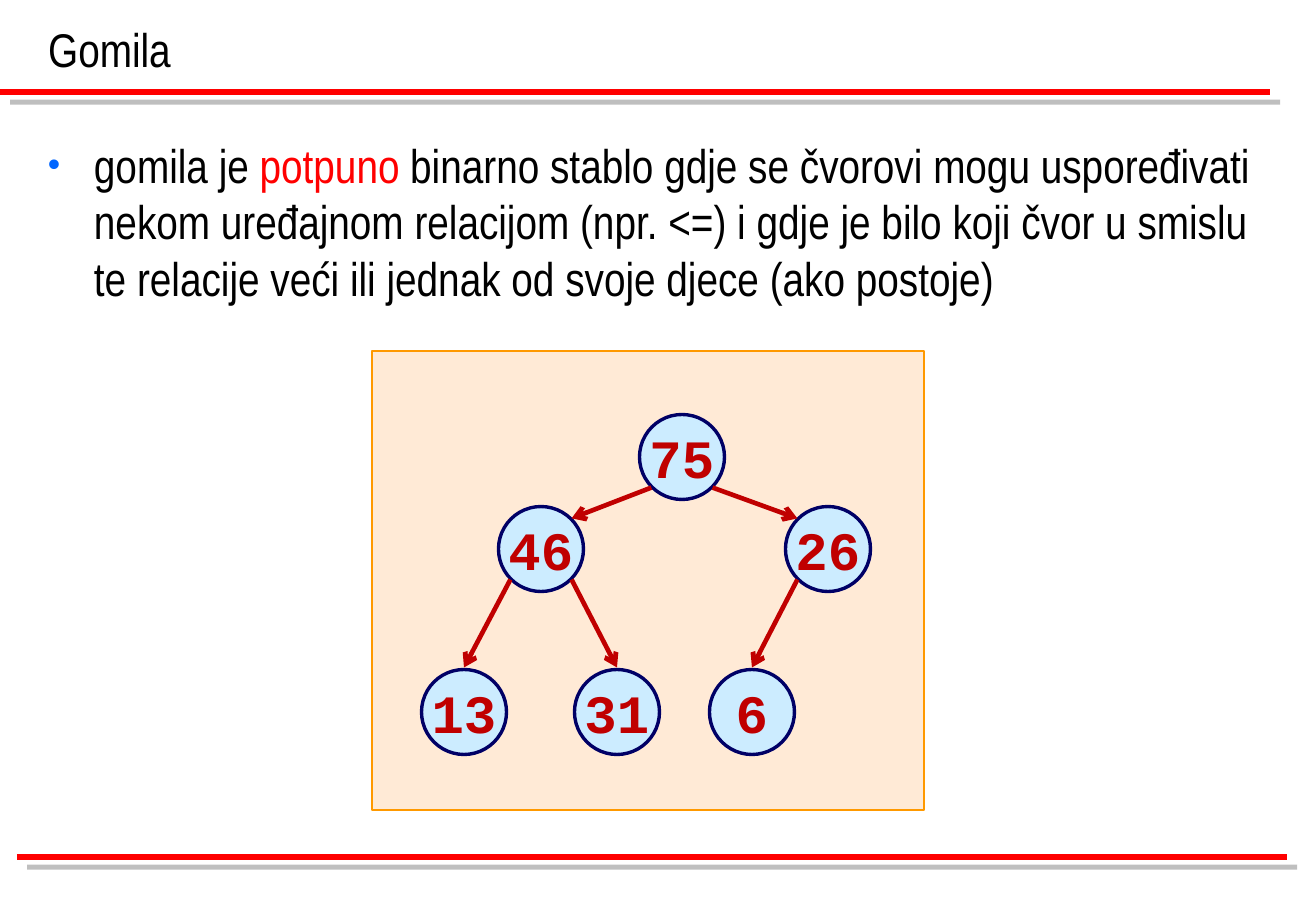
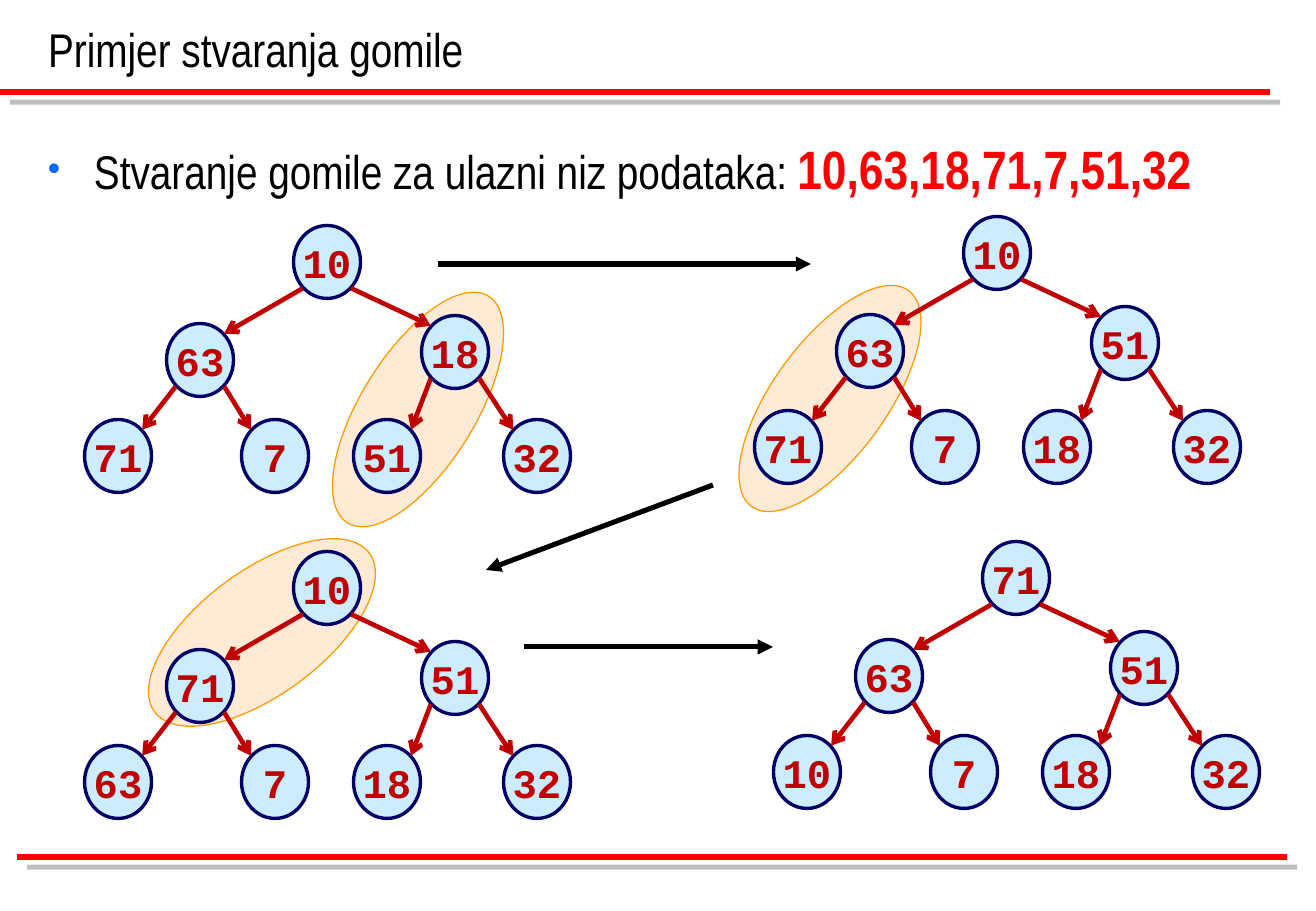
from lxml.etree import SubElement
from pptx import Presentation
from pptx.dml.color import RGBColor
from pptx.enum.shapes import MSO_CONNECTOR, MSO_SHAPE
from pptx.enum.text import MSO_ANCHOR, MSO_AUTO_SIZE, PP_ALIGN
from pptx.oxml.ns import qn
from pptx.util import Pt

SCALE = 7526  # EMU per pixel
WIDE, HIGH = 1316, 911

BLACK = RGBColor(0, 0, 0)
RED = RGBColor(0xFF, 0, 0)
DARK = RGBColor(0xC0, 0, 0)
NAVY = RGBColor(0, 0, 0x66)
SKY = RGBColor(0xCC, 0xEC, 0xFF)
PEACH = RGBColor(0xFF, 0xCC, 0x99)
ORANGE = RGBColor(0xFF, 0x99, 0)
SANS, MONO = "Arial Narrow", "Courier New"

# Node centres relative to the root, in heap order
SMALL = [(0, 0), (-141, 92), (146, 92), (-218, 255), (-65, 255), (70, 255)]
LARGE = [(0, 0), (-127, 98), (128, 90),
         (-209, 194), (-52, 194), (60, 194), (210, 194)]


def px(*sizes):
    """Turn pixels into EMU."""
    return [round(size * SCALE) for size in sizes]


def add(parent, tag, **attrs):
    """Append a DrawingML child element."""
    return SubElement(parent, qn(tag), attrs)


def style(para, name, size, color, bold=False):
    """Set the font of a whole paragraph."""
    font = para.font
    font.name, font.size, font.bold = name, Pt(size), bold
    font.color.rgb = color


def line(shapes, start, end, color, width, head=None):
    """Draw a straight line and return it with its empty effect list."""
    link = shapes.add_connector(MSO_CONNECTOR.STRAIGHT, *px(*start, *end))
    link.line.color.rgb = color
    link.line.width = Pt(width)
    props = link.element.spPr
    if head:
        add(props.find(qn("a:ln")), "a:tailEnd", type=head)
    return link, add(props, "a:effectLst")


def shape(shapes, kind, box, fill, edge, width):
    """Draw a filled preset shape."""
    item = shapes.add_shape(kind, *px(*box))
    item.shadow.inherit = False
    item.fill.solid()
    item.fill.fore_color.rgb = fill
    item.line.color.rgb = edge
    item.line.width = Pt(width)
    return item


def tint(slide, kind, box, turn=0):
    """Draw a see-through peach area."""
    item = shape(slide.shapes, kind, box, PEACH, ORANGE, 0.75)
    item.rotation = turn
    color = item.element.spPr.find(qn("a:solidFill"))[0]
    add(color, "a:alpha", val="40000")


def node(shapes, center, size, key, points):
    """Draw a round tree node with its key."""
    (x, y), (w, h) = center, size
    item = shape(shapes, MSO_SHAPE.OVAL, (x - w / 2, y - h / 2, w, h),
                 SKY, NAVY, 2)
    frame = item.text_frame
    frame.word_wrap = False
    frame.vertical_anchor = MSO_ANCHOR.MIDDLE
    para = frame.paragraphs[0]
    para.text = str(key)
    para.alignment = PP_ALIGN.CENTER
    para.space_before = Pt(points * 0.2)
    style(para, MONO, points, DARK, True)


def tree(slide, root, size, steps, keys, points, top=False):
    """Draw a heap; with top set, leaf arrows end above the leaf."""
    shapes = slide.shapes.add_group_shape().shapes
    spots = [(root[0] + x, root[1] + y) for x, y in steps]
    for spot, key in zip(spots, keys):
        node(shapes, spot, size, key, points)
    dx, dy = (side * 0.36 for side in size)  # diagonal point of the rim
    for i, (x, y) in enumerate(spots[1:], 1):
        px0, py0 = spots[(i - 1) // 2]
        side = -1 if i % 2 else 1
        end = (x, y - size[1] / 2 - 2) if top and i > 2 else (x - side * dx, y - dy)
        line(shapes, (px0 + side * dx, py0 + dy), end, DARK, 2.75, "arrow")


def rules(slide):
    """Put the two shadowed red rules on the layout of the slide."""
    for x, y in ((0, 92), (17, 857)):
        link, effects = line(slide.shapes, (x, y), (x + 1270, y), RED, 3)
        shadow = add(effects, "a:outerShdw", dist=str(Pt(8.5)), dir="2700000",
                     algn="ctr", rotWithShape="0")
        color = add(shadow, "a:srgbClr", val="808080")
        add(color, "a:alpha", val="50000")
        slide.slide_layout.shapes.element.append(link.element)


def title(slide, text):
    """Place and format the title."""
    item = slide.shapes.title
    item.left, item.top, item.width, item.height = px(36, 0, 1234, 83)
    frame = item.text_frame
    frame.text = text
    frame.auto_size = MSO_AUTO_SIZE.NONE
    frame.vertical_anchor = MSO_ANCHOR.BOTTOM
    para = frame.paragraphs[0]
    para.alignment = PP_ALIGN.LEFT
    style(para, SANS, 28, BLACK)


def bullet(slide, *parts):
    """Write one bullet from (text, color, size, bold) parts."""
    frame = slide.shapes.add_textbox(*px(36, 130, 1244, 708)).text_frame
    frame.word_wrap = True
    para = frame.paragraphs[0]
    style(para, SANS, 28, BLACK)
    para.space_before = Pt(5.6)
    for text, color, size, bold in parts:
        run = para.add_run()
        run.text = text
        run.font.color.rgb = color
        run.font.size, run.font.bold = Pt(size), bold
    props = para._p.get_or_add_pPr()
    indent = px(46)[0]
    props.set("marL", str(indent))
    props.set("indent", str(-indent))
    marks = [("a:buClr", {}), ("a:buSzPct", {"val": "75000"}),
             ("a:buFont", {"typeface": "Arial"}), ("a:buChar", {"char": "•"})]
    last = props.find(qn("a:defRPr"))
    for tag, attrs in marks:
        mark = add(props, tag, **attrs)
        last.addprevious(mark)
        if tag == "a:buClr":
            add(mark, "a:srgbClr", val="0066FF")


def heap(slide):
    """Build the slide that defines a heap."""
    tint(slide, MSO_SHAPE.RECTANGLE, (372, 351, 552, 459))
    title(slide, "Gomila")
    bullet(slide, ("gomila je ", BLACK, 28, False),
           ("potpuno", RED, 28, False),
           (" binarno stablo gdje se čvorovi mogu uspoređivati nekom "
            "uređajnom relacijom (npr. <=) i gdje je bilo koji čvor u smislu "
            "te relacije veći ili jednak od svoje djece (ako postoje)",
            BLACK, 28, False))
    tree(slide, (682, 457), (85, 85), SMALL, (75, 46, 26, 13, 31, 6), 32, True)


def steps(slide):
    """Build the slide that shows a heap being made."""
    title(slide, "Primjer stvaranja gomile")
    bullet(slide, ("Stvaranje gomile za ulazni niz podataka: ", BLACK, 28, False),
           ("10,63,18,71,7,51,32", RED, 32, True))
    for box, turn in (((200, 499, 124, 267), 53.5),
                      ((773, 265, 114, 267), 36),
                      ((361, 276, 114, 267), 31.9)):
        tint(slide, MSO_SHAPE.OVAL, box, turn)
    for start, end in (((438, 264), (811, 264)), ((524, 647), (773, 647)),
                       ((713, 485), (486, 570))):
        line(slide.shapes, start, end, BLACK, 3, "triangle")
    for root, keys in (((327, 262), (10, 63, 18, 71, 7, 51, 32)),
                       ((997, 253), (10, 63, 51, 71, 7, 18, 32)),
                       ((327, 588), (10, 71, 51, 63, 7, 18, 32)),
                       ((1016, 578), (71, 63, 51, 10, 7, 18, 32))):
        tree(slide, root, (67, 73), LARGE, keys, 24)


def main():
    """Build and save the deck."""
    deck = Presentation()
    deck.slide_width, deck.slide_height = px(WIDE, HIGH)
    layout = deck.slide_layouts[5]
    first, second = (deck.slides.add_slide(layout) for _ in range(2))
    rules(first)
    heap(first)
    steps(second)
    deck.save("out.pptx")


main()
